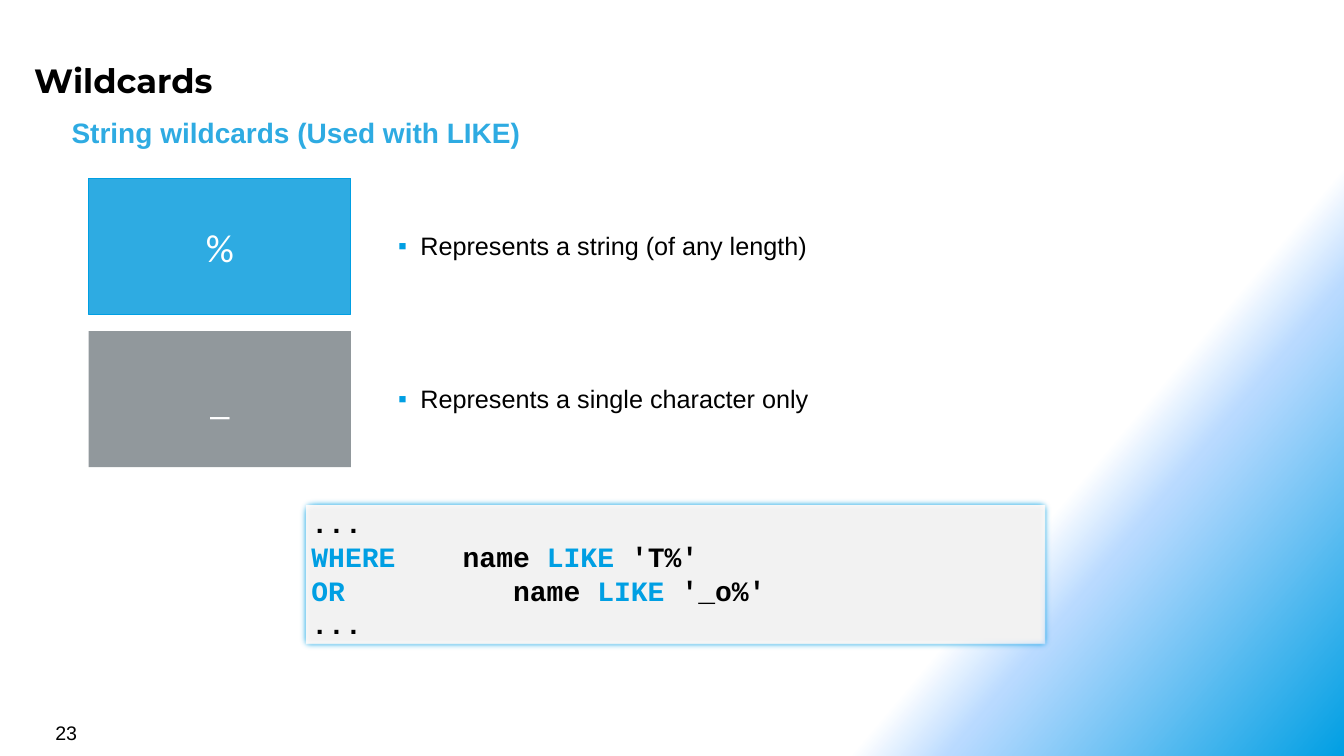
from pptx import Presentation
from pptx.dml.color import RGBColor
from pptx.enum import shapes, text
from pptx.oxml import parse_xml
from pptx.oxml.ns import nsdecls
from pptx.util import Inches, Pt

BLACK, WHITE = "000000", "FFFFFF"
BLUE, SKY, GREY, PALE = "009FE3", "2EABE2", "91989C", "F2F2F2"


def color(value):
    return RGBColor.from_string(value)


def element(tag, attributes="", content=""):
    return parse_xml(f"<a:{tag} {nsdecls('a')} {attributes}>{content}</a:{tag}>")


class SlideBuilder:
    """Holds the fonts and the current slide."""

    body_font, title_font = "Arial", "Montserrat"
    symbol_font, code_font = "Calibri", "Courier New"

    def __init__(self, deck):
        self.slide = deck.slides.add_slide(deck.slide_layouts[6])

    def background(self, stops, angle):
        fill = self.slide.background.fill
        fill.gradient()
        stop_xml = "".join(
            f'<a:gs pos="{percent * 1000}"><a:srgbClr val="{value}"/></a:gs>'
            for percent, value in stops)
        properties = self.slide.background._cSld.bg.bgPr
        gradient = element(
            "gradFill", 'rotWithShape="1"',
            f'<a:gsLst>{stop_xml}</a:gsLst><a:lin ang="{angle * 60000}" scaled="0"/>')
        properties.replace(properties[0], gradient)

    def style(self, para, font, size, value=None, bold=False):
        para.font.name, para.font.size, para.font.bold = font, Pt(size), bold
        if value:
            para.font.color.rgb = color(value)

    def label(self, words, left, top, width, height, size, value=BLACK,
              font=body_font, bold=False, inset=0.08, bullet=False):
        box = self.slide.shapes.add_textbox(*map(Inches, (left, top, width, height)))
        frame = box.text_frame
        frame.word_wrap = True
        frame.margin_left = frame.margin_right = Inches(inset)
        frame.margin_top = frame.margin_bottom = Inches(min(inset, 0.08))
        para = frame.paragraphs[0]
        para.text = words
        if bullet:
            properties = para._p.get_or_add_pPr()
            properties.set("marL", str(Inches(0.31)))
            properties.set("indent", str(Inches(-0.22)))
            properties.append(element("buClr", "", f'<a:srgbClr val="{BLUE}"/>'))
            properties.append(element("buFont", 'typeface="Arial"'))
            properties.append(element("buChar", 'char="▪"'))
        self.style(para, font, size, value, bold)

    def rectangle(self, left, top, width, height, fill, line=None, weight=0.5):
        box = self.slide.shapes.add_shape(
            shapes.MSO_SHAPE.RECTANGLE, *map(Inches, (left, top, width, height)))
        box.shadow.inherit = False
        box.fill.solid()
        box.fill.fore_color.rgb = color(fill)
        if line:
            box.line.color.rgb = color(line)
            box.line.width = Pt(weight)
        else:
            box.line.fill.background()
        return box

    def symbol(self, words, left, top, fill, line=None):
        frame = self.rectangle(left, top, 2.6, 1.35, fill, line).text_frame
        frame.vertical_anchor = text.MSO_ANCHOR.MIDDLE
        para = frame.paragraphs[0]
        para.text = words
        para.alignment = text.PP_ALIGN.CENTER
        self.style(para, self.symbol_font, 28, WHITE)

    def code(self, lines, left, top, width, height):
        box = self.rectangle(left, top, width, height, PALE, BLUE, 6)
        # Feathered border
        effects = box._element.spPr.find(element("effectLst").tag)
        effects.append(element("softEdge", 'rad="63500"'))
        frame = box.text_frame
        frame.vertical_anchor = text.MSO_ANCHOR.TOP
        tabs = "".join(f'<a:tab pos="{Inches(stop)}" algn="l"/>' for stop in (1, 1.5, 2))
        for number, spans in enumerate(lines):
            para = frame.add_paragraph() if number else frame.paragraphs[0]
            para.alignment = text.PP_ALIGN.LEFT
            para._p.get_or_add_pPr().append(element("tabLst", "", tabs))
            self.style(para, self.code_font, 20, bold=True)
            for words, value in spans:
                span = para.add_run()
                span.text = words
                span.font.color.rgb = color(value)


def main():
    deck = Presentation()
    deck.slide_width, deck.slide_height = Inches(13.33), Inches(7.5)
    page = SlideBuilder(deck)
    page.background([(0, WHITE), (75, WHITE), (80, "B9DAFF"), (100, BLUE)], 40)

    # Headings
    page.label("Wildcards", 0.26, 0.51, 12.26, 0.55, 24,
               font=page.title_font, bold=True)
    page.label("String wildcards (Used with LIKE)", 0.63, 1.07, 12.14, 0.5, 20,
               SKY, bold=True)

    # Example query
    page.code([
        [("...", BLACK)],
        [("WHERE", BLUE), ("\t\tname ", BLACK), ("LIKE", BLUE), (" 'T%'", BLACK)],
        [("OR \t", BLUE), ("\t\tname ", BLACK), ("LIKE ", BLUE), ("'_o%'", BLACK)],
        [("...", BLACK)],
    ], 2.99, 4.97, 7.41, 1.45)

    # Wildcards with their meanings
    wildcards = [
        ("%", "Represents a string (of any length)", SKY, BLUE),
        ("_", "Represents a single character only", GREY, None),
    ]
    for row, (sign, meaning, fill, line) in enumerate(wildcards):
        top = 1.77 + row * 1.515
        page.label(meaning, 3.78, top + 0.44, 7.7, 0.46, 18, bullet=True)
        page.symbol(sign, 0.88, top, fill, line)

    # Page number
    page.label("23", 0.45, 7.07, 3.11, 0.33, 14, inset=0.1)
    deck.save("out.pptx")


if __name__ == "__main__":
    main()
